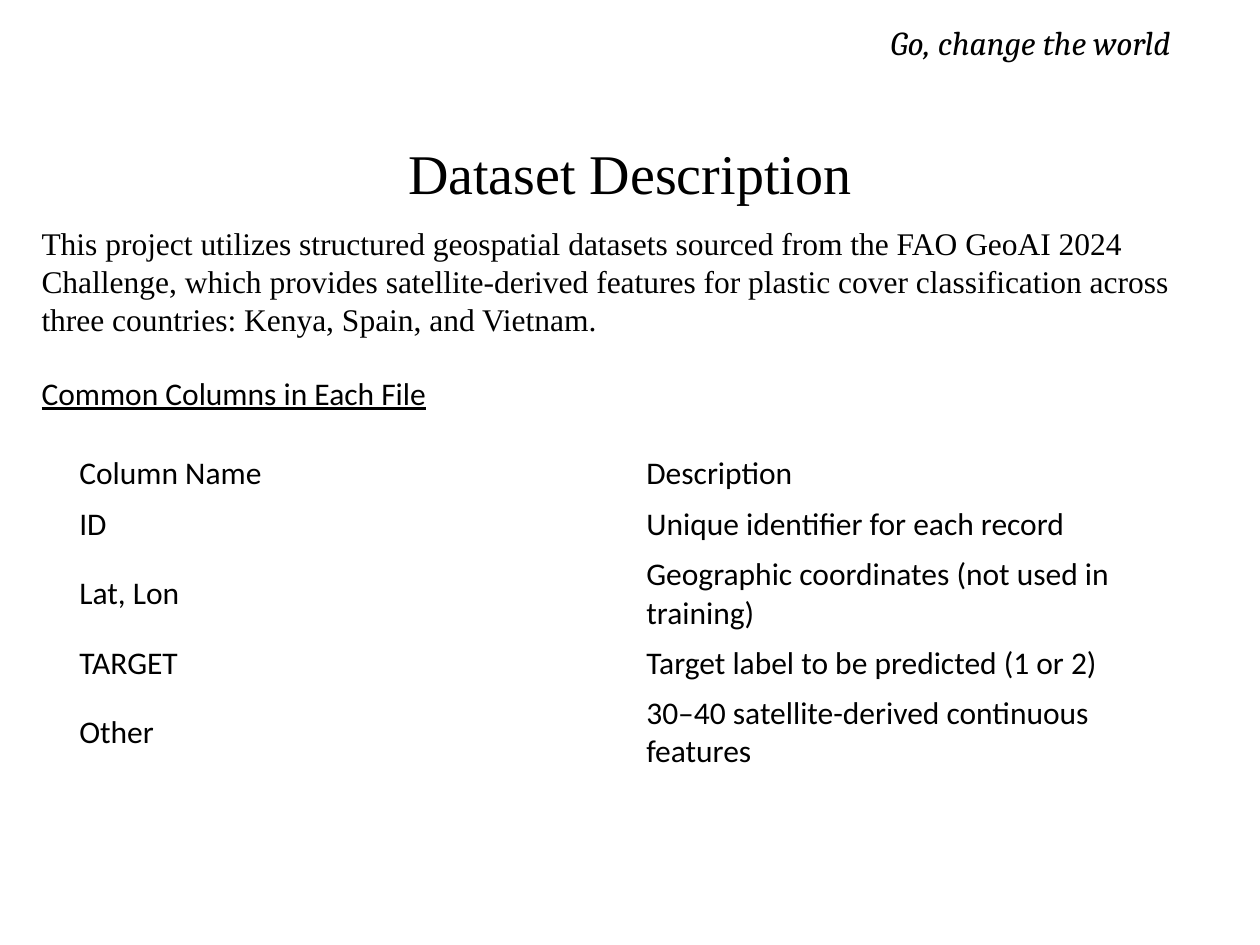
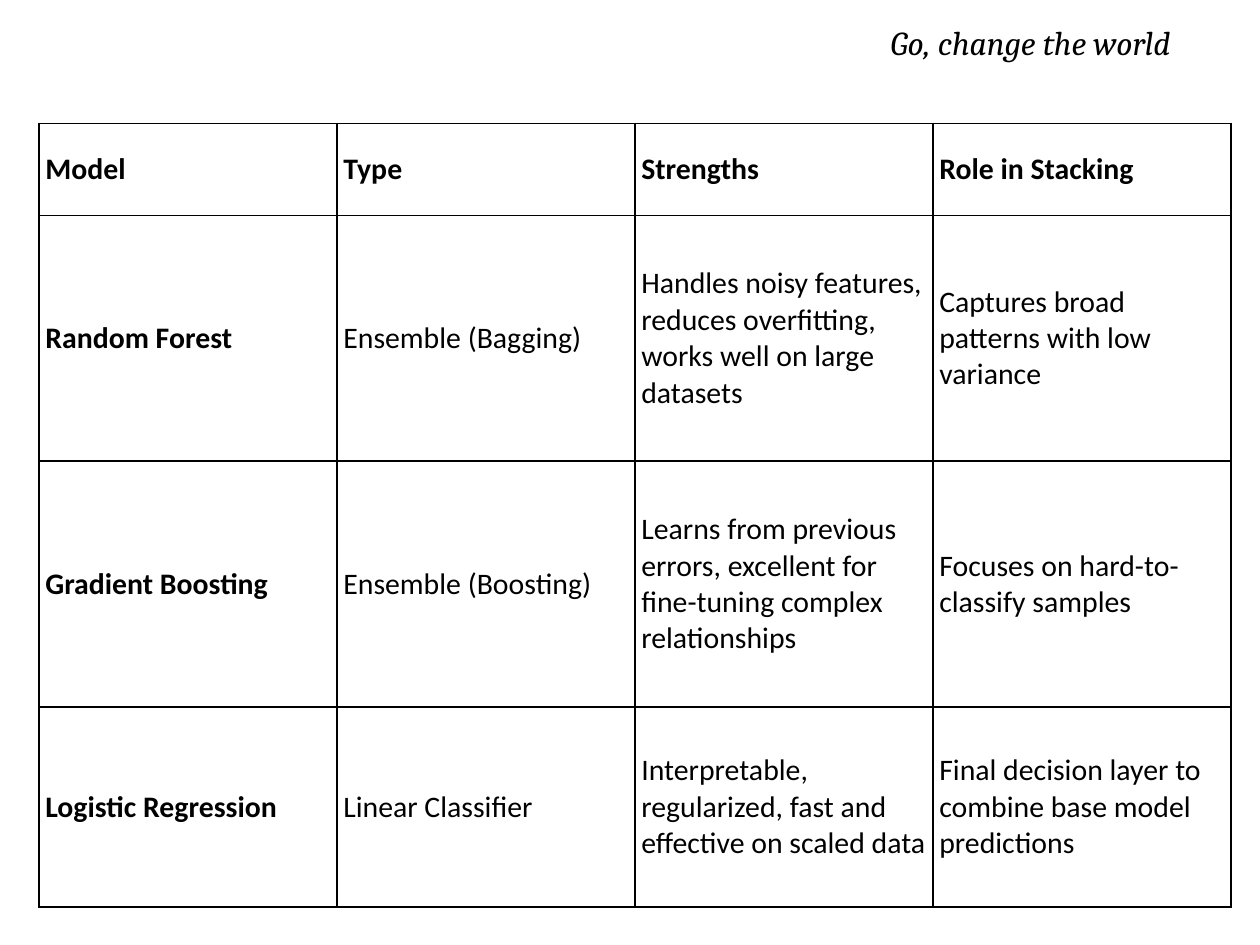
from lxml import etree
from pptx import Presentation
from pptx.dml.color import RGBColor
from pptx.enum.text import MSO_ANCHOR, PP_ALIGN
from pptx.oxml.ns import qn
from pptx.util import Inches, Pt

TOP, MIDDLE = MSO_ANCHOR.TOP, MSO_ANCHOR.MIDDLE
LEFT, CENTER = PP_ALIGN.LEFT, PP_ALIGN.CENTER
INK = "000000"
SERIF, SANS, SLOGAN_FONT = "Times New Roman", "Calibri", "Cambria"
INSET = 0.05

SLOGAN = "Go, change the world"
TITLE = "Dataset Description"
INTRO = (
    "This project utilizes structured geospatial datasets sourced from the "
    "FAO GeoAI 2024 Challenge, which provides satellite-derived features for "
    "plastic cover classification across three countries: Kenya, Spain, and Vietnam."
)
COLUMNS_HEADING = "Common Columns in Each File"
DATASET_COLUMNS = [
    ("Column Name", "Description"),
    ("ID", "Unique identifier for each record"),
    ("Lat, Lon", "Geographic coordinates (not used in training)"),
    ("TARGET", "Target label to be predicted (1 or 2)"),
    ("Other", "30–40 satellite-derived continuous features"),
]
MODELS = [
    ("Model", "Type", "Strengths", "Role in Stacking"),
    ("Random Forest", "Ensemble (Bagging)",
     "Handles noisy features, reduces overfitting, works well on large datasets",
     "Captures broad patterns with low variance"),
    ("Gradient Boosting", "Ensemble (Boosting)",
     "Learns from previous errors, excellent for fine-tuning complex relationships",
     "Focuses on hard-to-classify samples"),
    ("Logistic Regression", "Linear Classifier",
     "Interpretable, regularized, fast and effective on scaled data",
     "Final decision layer to combine base model predictions"),
]


def color(value):
    return RGBColor.from_string(value)


def write(para, text, size=18, font=SANS, bold=False, italic=False,
          underline=False, align=LEFT, before=0, spacing=None):
    para.alignment = align
    para.space_before = Pt(before)
    if spacing:
        para.line_spacing = spacing
    span = para.add_run()
    span.text = text
    span.font.size = Pt(size)
    span.font.name = font
    span.font.bold = bold
    span.font.italic = italic
    span.font.underline = underline
    span.font.color.rgb = color(INK)


def set_insets(target, inset, top=None):
    target.margin_left = target.margin_right = target.margin_bottom = Inches(inset)
    target.margin_top = Inches(inset if top is None else top)


def add_text(page, place, anchor=TOP, inset=INSET, top=None):
    box = page.shapes.add_textbox(*map(Inches, place))
    frame = box.text_frame
    frame.word_wrap = True
    frame.vertical_anchor = anchor
    set_insets(frame, inset, top)
    return frame


def add_borders(cell, width):
    properties = cell._tc.get_or_add_tcPr()
    for index, side in enumerate(("a:lnL", "a:lnR", "a:lnT", "a:lnB")):
        line = etree.Element(qn(side), w=str(Pt(width)))
        fill = etree.SubElement(line, qn("a:solidFill"))
        etree.SubElement(fill, qn("a:srgbClr"), val=INK)
        properties.insert(index, line)


def add_table(page, rows, left, top, column_width, heights, size,
              bold_edges=False, border=0):
    count = len(rows[0])
    table = page.shapes.add_table(
        len(rows), count, Inches(left), Inches(top),
        Inches(column_width * count), Inches(sum(heights))).table
    table.first_row = table.horz_banding = False
    for column in table.columns:
        column.width = Inches(column_width)
    for r, (texts, height) in enumerate(zip(rows, heights)):
        table.rows[r].height = Inches(height)
        for c, text in enumerate(texts):
            cell = table.cell(r, c)
            cell.fill.background()
            cell.vertical_anchor = MIDDLE
            set_insets(cell, INSET)
            write(cell.text_frame.paragraphs[0], text, size=size,
                  bold=bold_edges and (r == 0 or c == 0))
            if border:
                add_borders(cell, border)


def add_page(deck):
    page = deck.slides.add_slide(deck.slide_layouts[6])
    frame = add_text(page, (6.97, 0.1, 3.42, 0.53), anchor=MIDDLE, inset=0.1)
    write(frame.paragraphs[0], SLOGAN, size=19.1, font=SLOGAN_FONT,
          italic=True, spacing=0.8)
    return page


def build_dataset(deck):
    page = add_page(deck)
    title = add_text(page, (0.5, 0.99, 9, 1.25), top=0.11)
    write(title.paragraphs[0], TITLE, size=32, font=SERIF, align=CENTER)
    body = add_text(page, (0.28, 1.73, 9.43, 3.13))
    write(body.paragraphs[0], INTRO, font=SERIF)
    write(body.add_paragraph(), COLUMNS_HEADING, underline=True, before=20.7)
    add_table(page, DATASET_COLUMNS, 0.58, 3.56, 4.5,
              [0.4, 0.4, 0.7, 0.4, 0.7], size=18)


def build_models(deck):
    page = add_page(deck)
    add_table(page, MODELS, 0.31, 0.98, 2.365, [0.73, 1.95, 1.95, 1.59],
              size=17, bold_edges=True, border=1)


def main():
    deck = Presentation()
    deck.slide_width, deck.slide_height = Inches(10), Inches(7.5)
    build_dataset(deck)
    build_models(deck)
    deck.save("out.pptx")


if __name__ == "__main__":
    main()
